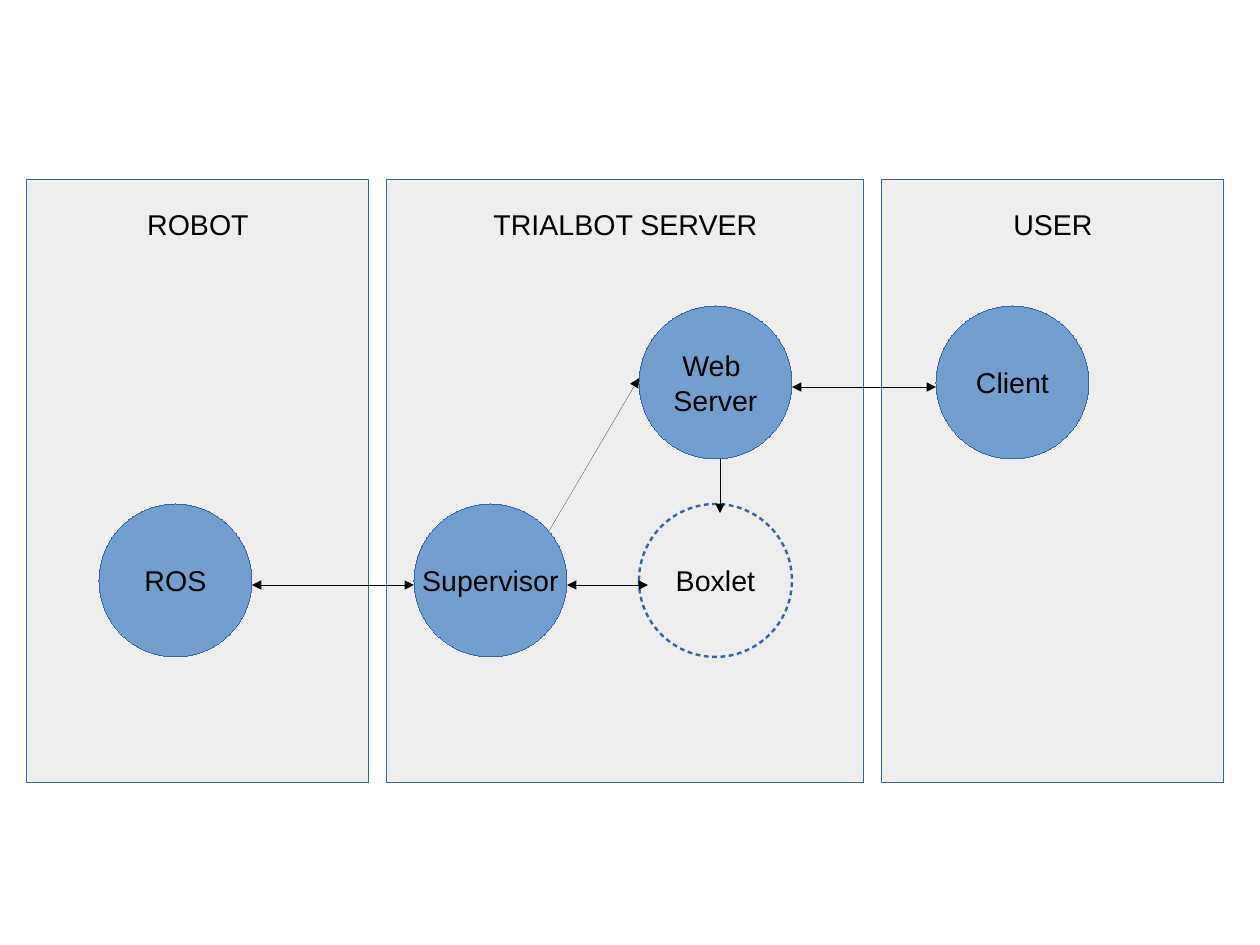
from dataclasses import dataclass
from lxml.etree import SubElement
from pptx import Presentation
from pptx.dml.color import RGBColor
from pptx.enum.shapes import MSO_CONNECTOR, MSO_SHAPE
from pptx.enum.text import MSO_ANCHOR, PP_ALIGN
from pptx.oxml.ns import qn
from pptx.util import Cm, Pt


@dataclass(frozen=True)
class Theme:
    font: str = "Arial"
    size: Pt = Pt(18)
    ink: RGBColor = RGBColor(0, 0, 0)
    panel: RGBColor = RGBColor(0xEE, 0xEE, 0xEE)
    node: RGBColor = RGBColor(0x72, 0x9F, 0xCF)
    edge: RGBColor = RGBColor(0x34, 0x65, 0xA4)
    hair: Pt = Pt(0.01)
    dash: Pt = Pt(1.5)


class Diagram:
    def __init__(self, slide, theme):
        self.shapes = slide.shapes
        self.theme = theme

    def block(self, kind, label, box, fill):
        theme = self.theme
        shape = self.shapes.add_shape(kind, *map(Cm, box))
        shape.shadow.inherit = False
        shape.fill.solid()
        shape.fill.fore_color.rgb = fill
        shape.line.color.rgb = theme.edge
        shape.line.width = theme.hair
        frame = shape.text_frame
        frame.word_wrap = False
        frame.vertical_anchor = MSO_ANCHOR.MIDDLE
        frame.text = label
        for para in frame.paragraphs:
            para.alignment = PP_ALIGN.CENTER
            for run in para.runs:
                run.font.name = theme.font
                run.font.size = theme.size
                run.font.color.rgb = theme.ink
        return shape

    def panel(self, label, left, width):
        box = (left, 4, width, 13.4)
        shape = self.block(MSO_SHAPE.RECTANGLE, label, box, self.theme.panel)
        shape.text_frame.vertical_anchor = MSO_ANCHOR.TOP
        shape.text_frame.margin_top = Cm(0.6)

    def node(self, label, left, top, dashed=False):
        theme = self.theme
        fill = theme.panel if dashed else theme.node
        shape = self.block(MSO_SHAPE.OVAL, label, (left, top, 3.4, 3.4), fill)
        if dashed:
            shape.line.width = theme.dash
            line = shape.element.spPr.find(qn("a:ln"))
            dashes = SubElement(line, qn("a:custDash"))
            SubElement(dashes, qn("a:ds"), d="200000", sp="150000")

    def arrow(self, start, end, ends=("tailEnd",)):
        points = map(Cm, (*start, *end))
        link = self.shapes.add_connector(MSO_CONNECTOR.STRAIGHT, *points)
        link.line.color.rgb = self.theme.ink
        link.line.width = self.theme.hair
        props = link.element.spPr
        for tip in ends:
            SubElement(props.find(qn("a:ln")), qn(f"a:{tip}"), type="triangle")
        SubElement(props, qn("a:effectLst"))

    def link(self, left, right, level):
        self.arrow((left, level), (right, level), ("headEnd", "tailEnd"))


def main():
    deck = Presentation()
    deck.slide_width, deck.slide_height = Cm(28), Cm(21)
    blank = deck.slide_layouts[6]
    draw = Diagram(deck.slides.add_slide(blank), Theme())

    left = 0.6
    for label, width in (("ROBOT", 7.6), ("TRIALBOT SERVER", 10.6), ("USER", 7.6)):
        draw.panel(label, left, width)
        left += width + 0.4

    upper, lower = 6.8, 11.2
    draw.node("Client", 20.8, upper)
    draw.node("Web \nServer", 14.2, upper)
    draw.node("Boxlet", 14.2, lower, dashed=True)
    draw.node("Supervisor", 9.2, lower)
    draw.node("ROS", 2.2, lower)

    draw.arrow((12.2, 11.8), (14.2, 8.4))
    draw.arrow((16, 10.2), (16, 11.4))
    draw.link(12.6, 14.4, 13)
    draw.link(17.6, 20.8, 8.6)
    draw.link(5.6, 9.2, 13)
    deck.save("out.pptx")


if __name__ == "__main__":
    main()
